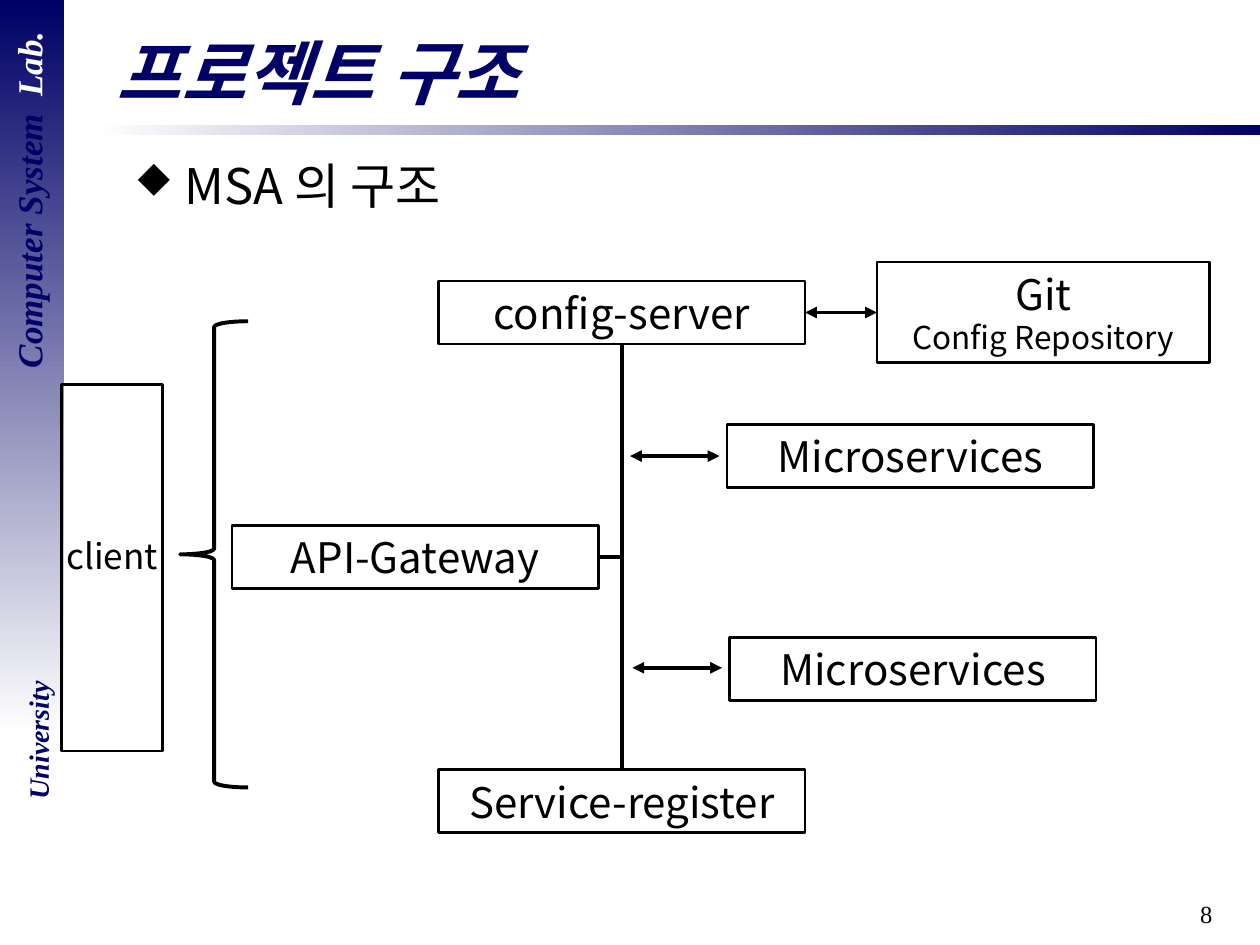
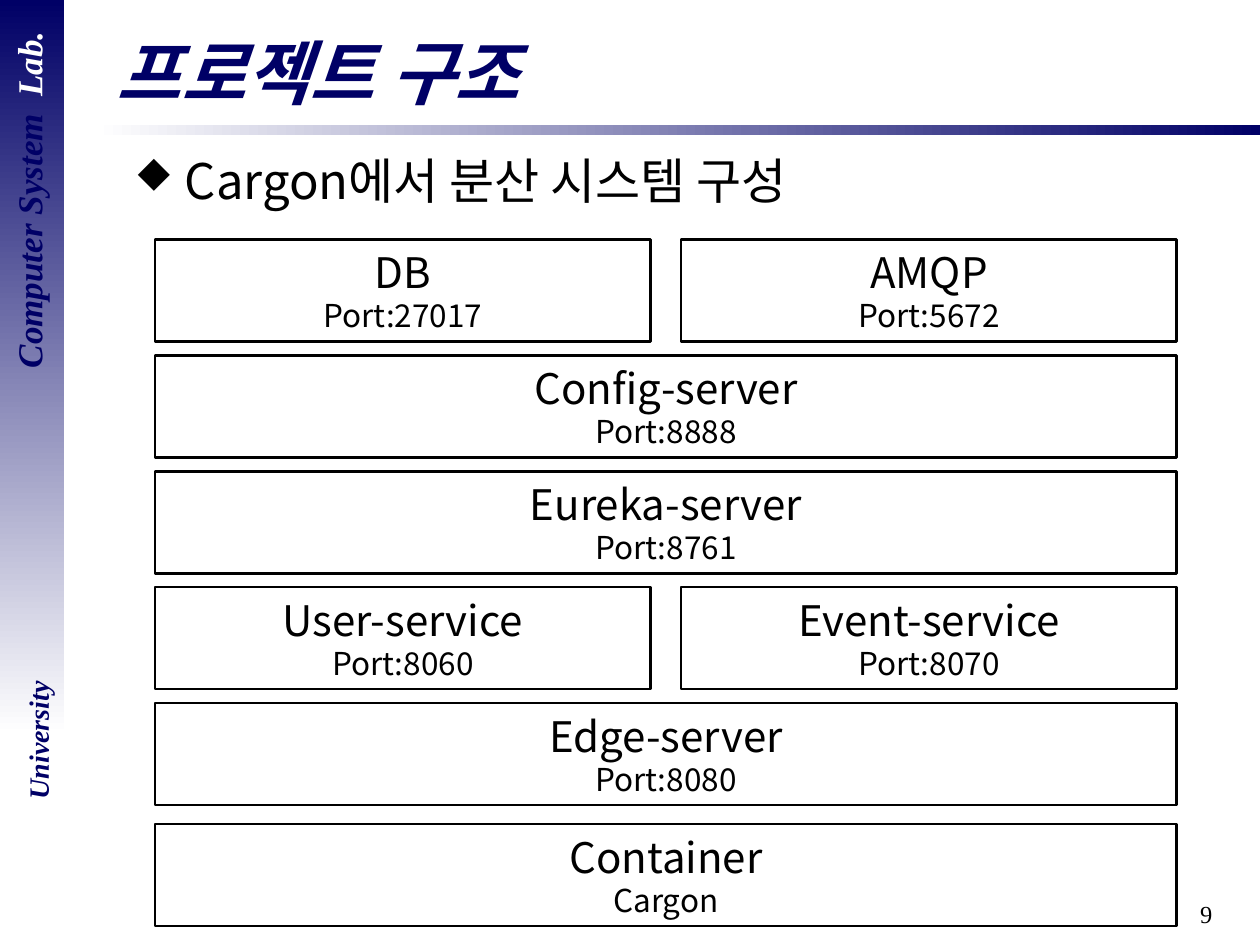
import dataclasses

import lxml.etree
import pptx
import pptx.dml.color
import pptx.enum.shapes
import pptx.enum.text
import pptx.oxml
import pptx.oxml.ns
import pptx.util

Inches = pptx.util.Inches
Pt = pptx.util.Pt
qn = pptx.oxml.ns.qn
RGB = pptx.dml.color.RGBColor.from_string
Shape = pptx.enum.shapes.MSO_SHAPE
Align = pptx.enum.text.PP_ALIGN


@dataclasses.dataclass(frozen=True)
class Theme:
    navy = RGB("000066")
    white = RGB("FFFFFF")
    black = RGB("000000")
    sans = "Noto Sans CJK KR"
    serif = "Times New Roman"
    bullet = "Wingdings"
    box_line = Pt(1.5)
    link_line = Pt(2.25)
    title = (navy, dict(name=sans, size=Pt(40), bold=True, italic=True))
    body = (black, dict(name=sans, size=Pt(28)))
    box = (black, dict(name=sans, size=Pt(24)))
    client = (black, dict(name=sans, size=Pt(20)))
    detail = (black, dict(name=sans, size=Pt(18)))
    lab = (navy, dict(name=serif, size=Pt(20), bold=True, italic=True))
    lab_light = (white, lab[1])
    school = (navy, dict(name=serif, size=Pt(16), bold=True, italic=True))
    number = (black, dict(name=serif, size=Pt(14)))


theme = Theme()


def write(shape, paragraphs, align=Align.CENTER):
    frame = shape.text_frame
    frame_format = dict(
        word_wrap=True,
        vertical_anchor=pptx.enum.text.MSO_ANCHOR.MIDDLE,
        margin_top=0,
        margin_bottom=0,
    )
    for key, value in frame_format.items():
        setattr(frame, key, value)
    for index, runs in enumerate(paragraphs):
        paragraph = frame.add_paragraph() if index else frame.paragraphs[0]
        paragraph.alignment = align
        if index:
            paragraph.line_spacing = Pt(21)
        for text, (color, font_format) in runs:
            run = paragraph.add_run()
            run.text = text
            for key, value in font_format.items():
                setattr(run.font, key, value)
            run.font.color.rgb = color
            east_asian = lxml.etree.SubElement(run.font._element, qn("a:ea"))
            east_asian.set("typeface", font_format["name"])
    return shape


def add_box(slide, place, title="", detail="", kind=Shape.RECTANGLE, line=theme.box_line):
    box = slide.shapes.add_shape(kind, *map(Inches, place))
    box.shadow.inherit = False
    box.fill.background()
    box.line.color.rgb = theme.black
    box.line.width = line
    if title:
        lines = [[(title, theme.box)]]
        if detail:
            lines.append([(detail, theme.detail)])
        write(box, lines)
    return box


deck = pptx.Presentation()
deck.slide_width = Inches(10)
deck.slide_height = Inches(7.5)

pages = [
    ("8", "MSA 의 구조", 1.18),
    ("9", "Cargon에서 분산 시스템 구성", 1.14),
]
bands = [
    ((0.75, 0.99, 9.25, 0.08), (theme.white, theme.navy), 0),
    ((0, 0, 0.51, 5.83), (theme.navy, theme.white), 270),
]
side_labels = [
    (
        (-1.31, 1.37, 3.07, 0.43),
        [("Computer System", theme.lab), (" ", theme.lab), ("Lab.", theme.lab_light)],
    ),
    ((-0.41, 5.69, 1.42, 0.37), [("University", theme.school)]),
]

slides = []
for number, topic, topic_top in pages:
    slide = deck.slides.add_slide(deck.slide_layouts[6])
    slides.append(slide)
    for place, colors, angle in bands:
        band = slide.shapes.add_shape(Shape.RECTANGLE, *map(Inches, place))
        band.shadow.inherit = False
        band.line.fill.background()
        band.fill.gradient()
        band.fill.gradient_angle = angle
        for stop, color in zip(band.fill.gradient_stops, colors):
            stop.color.rgb = color
    for place, runs in side_labels:
        label = write(slide.shapes.add_textbox(*map(Inches, place)), [runs])
        label.rotation = 270
        for run in label.text_frame.paragraphs[0].runs:
            if run.text == " ":
                run.font._element.set("spc", "500")
    texts = [
        ((7.64, 7.08, 2.08, 0.35), number, theme.number, Align.RIGHT),
        ((0.83, 0.18, 8.9, 0.77), "프로젝트 구조", theme.title, Align.LEFT),
        ((0.91, topic_top, 8.74, 0.58), topic, theme.body, Align.LEFT),
    ]
    for place, text, style, align in texts:
        text_area = slide.shapes.add_textbox(*map(Inches, place))
        if style is theme.body:
            properties = text_area.text_frame.paragraphs[0]._p.get_or_add_pPr()
            properties.set("marL", str(Inches(0.46)))
            properties.set("indent", str(-Inches(0.4)))
            for tag, key, value in [
                ("a:buSzPct", "val", "80000"),
                ("a:buFont", "typeface", theme.bullet),
                ("a:buChar", "char", "u"),
            ]:
                lxml.etree.SubElement(properties, qn(tag)).set(key, value)
        write(text_area, [[(text, style)]], align)

structure, containers = slides

service_size = (2.91, 0.5)
config_server = add_box(structure, (3.48, 2.23, *service_size), "config-server")
service_register = add_box(structure, (3.48, 6.11, *service_size), "Service-register")
for left, top in [(5.77, 3.37), (5.79, 5.06)]:
    add_box(structure, (left, top, *service_size), "Microservices")
gateway = add_box(structure, (1.84, 4.17, *service_size), "API-Gateway")
repository = add_box(structure, (6.96, 2.08, 2.64, 0.8), "Git", "Config Repository")
add_box(structure, (0.49, 3.05, 0.8, 2.91))
client_label = structure.shapes.add_textbox(*map(Inches, (0.4, 4.19, 0.98, 0.44)))
write(client_label, [[("client", theme.client)]])
add_box(structure, (1.43, 2.55, 0.54, 3.7), kind=Shape.LEFT_BRACE, line=theme.link_line)

links = [
    ((4.94, 2.73, 4.94, 6.11), (config_server, 2), (service_register, 0), False),
    ((4.75, 4.42, 4.94, 4.42), (gateway, 3), None, False),
    ((6.39, 2.48, 6.96, 2.48), (config_server, 3), (repository, 1), True),
    ((5, 3.62, 5.71, 3.62), None, None, True),
    ((5.02, 5.3, 5.73, 5.3), None, None, True),
]
for ends, start, finish, arrows in links:
    link = structure.shapes.add_connector(
        pptx.enum.shapes.MSO_CONNECTOR.STRAIGHT, *map(Inches, ends)
    )
    if start:
        link.begin_connect(*start)
    if finish:
        link.end_connect(*finish)
    link.line.color.rgb = theme.black
    link.line.width = theme.link_line
    if arrows:
        for tag in ("a:headEnd", "a:tailEnd"):
            lxml.etree.SubElement(link.line._ln, qn(tag)).set("type", "triangle")
    lxml.etree.SubElement(link._element.spPr, qn("a:effectLst"))

stack_left, stack_top, stack_width = 1.23, 1.9, 8.11
row_pitch, row_height, column_gap = 0.92, 0.81, 0.24
rows = [
    [("DB", "Port:27017"), ("AMQP", "Port:5672")],
    [("Config-server", "Port:8888")],
    [("Eureka-server", "Port:8761")],
    [("User-service", "Port:8060"), ("Event-service", "Port:8070")],
    [("Edge-server", "Port:8080")],
]
for row_index, row in enumerate(rows):
    width = (stack_width - column_gap * (len(row) - 1)) / len(row)
    top = stack_top + row_index * row_pitch
    for column, (service, port) in enumerate(row):
        left = stack_left + column * (width + column_gap)
        add_box(containers, (left, top, width, row_height), service, port)
add_box(containers, (stack_left, 6.54, stack_width, row_height), "Container", "Cargon")

deck.save("out.pptx")
